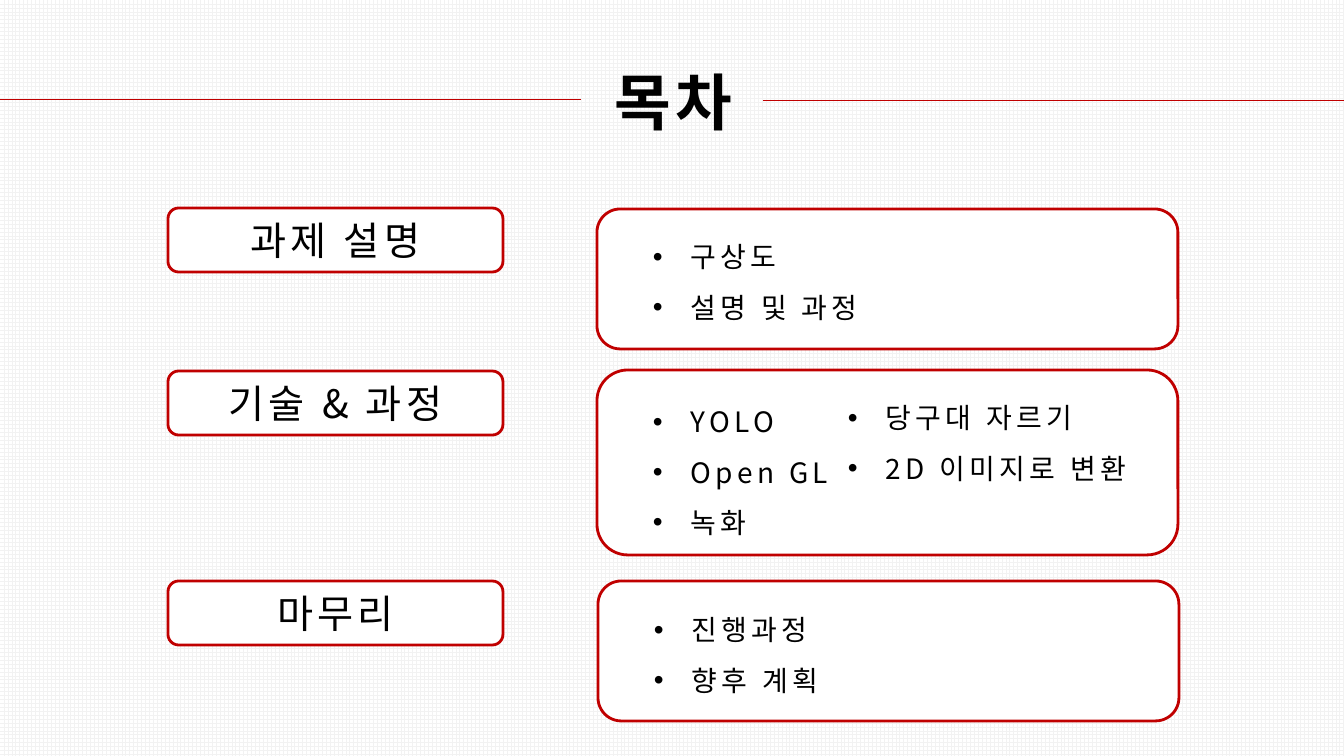
from lxml.etree import SubElement
from pptx import Presentation
from pptx.dml.color import RGBColor
from pptx.enum.dml import MSO_PATTERN
from pptx.enum.shapes import MSO_CONNECTOR, MSO_SHAPE
from pptx.enum.text import MSO_AUTO_SIZE, PP_ALIGN
from pptx.oxml.ns import qn
from pptx.util import Pt

RED = RGBColor(0xC0, 0x00, 0x00)
BLACK = RGBColor(0x00, 0x00, 0x00)
WHITE = RGBColor(0xFF, 0xFF, 0xFF)
GRID = RGBColor(0xF2, 0xF2, 0xF2)
FONT = "Noto Sans CJK KR"
SCALE = 914400 / 100.8


def px(n):
    return round(n * SCALE)


class Deck:
    def __init__(self, width, height):
        self.prs = Presentation()
        self.prs.slide_width = px(width)
        self.prs.slide_height = px(height)
        self.s = self.prs.slides.add_slide(self.prs.slide_layouts[6])

    def background(self):
        fill = self.s.background.fill
        fill.patterned()
        fill.pattern = MSO_PATTERN.LARGE_GRID
        fill.fore_color.rgb = GRID
        fill.back_color.rgb = WHITE

    def group(self):
        return self.s.shapes.add_group_shape().shapes

    def box(self, shapes, x, y, w, h):
        sp = shapes.add_shape(MSO_SHAPE.ROUNDED_RECTANGLE, px(x), px(y), px(w), px(h))
        sp.shadow.inherit = False
        sp.fill.solid()
        sp.fill.fore_color.rgb = WHITE
        sp.line.color.rgb = RED
        sp.line.width = Pt(2)

    def text(self, shapes, x, y, w, h, lines, size, bold=False, wrap=True, bullets=False):
        tf = shapes.add_textbox(px(x), px(y), px(w), px(h)).text_frame
        tf.word_wrap = wrap
        tf.auto_size = MSO_AUTO_SIZE.SHAPE_TO_FIT_TEXT
        for i, line in enumerate(lines):
            p = tf.add_paragraph() if i else tf.paragraphs[0]
            if bullets:
                self.bullet(p)
            else:
                p.alignment = PP_ALIGN.CENTER
            r = p.add_run()
            r.text = line
            r.font.size = Pt(size)
            r.font.bold = bold
            r.font.color.rgb = BLACK
            r.font.name = FONT
            rPr = r.font._element
            rPr.set("spc", "300")
            SubElement(rPr, qn("a:ea"), typeface=FONT)

    def bullet(self, p):
        p.line_spacing = 1.5
        pPr = p._p.get_or_add_pPr()
        pPr.set("marL", str(px(38)))
        pPr.set("indent", str(-px(38)))
        SubElement(pPr, qn("a:buFont"), typeface="Arial")
        SubElement(pPr, qn("a:buChar"), char="•")

    def line(self, x1, x2, y):
        c = self.s.shapes.add_connector(MSO_CONNECTOR.STRAIGHT, px(x1), px(y), px(x2), px(y))
        c.line.color.rgb = RED
        c.line.width = Pt(0.5)
        SubElement(c._element.spPr, qn("a:effectLst"))

    def label(self, y, text, inset):
        shapes = self.group()
        self.box(shapes, 168, y, 335, 64)
        self.text(shapes, 168 + inset, y + 3, 335 - 2 * inset, 57, [text], 28)

    def panel(self, x, y, h, text_top, text_w, lines):
        shapes = self.group()
        self.box(shapes, x, y, 581, h)
        self.bullets(shapes, x + 46, text_top, text_w, lines)

    def bullets(self, shapes, x, y, w, lines):
        self.text(shapes, x, y, w, 6 + 50 * len(lines), lines, 20, bullets=True)


def main():
    deck = Deck(1344, 756)
    deck.background()
    deck.text(deck.s.shapes, 597, 59, 153, 85, ["목차"], 44, bold=True, wrap=False)
    deck.line(0, 581, 99)
    deck.line(763, 1344, 100)

    for y, text, inset in (
        (208, "과제 설명", 30),
        (371, "기술 & 과정", 10),
        (581, "마무리", 10),
    ):
        deck.label(y, text, inset)

    for x, y, h, text_top, text_w, lines in (
        (597, 209, 140, 218, 479, ["구상도", "설명 및 과정"]),
        (597, 370, 185, 383, 203, ["YOLO", "Open GL", "녹화"]),
        (598, 581, 140, 591, 479, ["진행과정", "향후 계획"]),
    ):
        deck.panel(x, y, h, text_top, text_w, lines)
    deck.bullets(deck.s.shapes, 838, 379, 328, ["당구대 자르기", "2D 이미지로 변환"])

    deck.prs.save("out.pptx")


if __name__ == "__main__":
    main()
